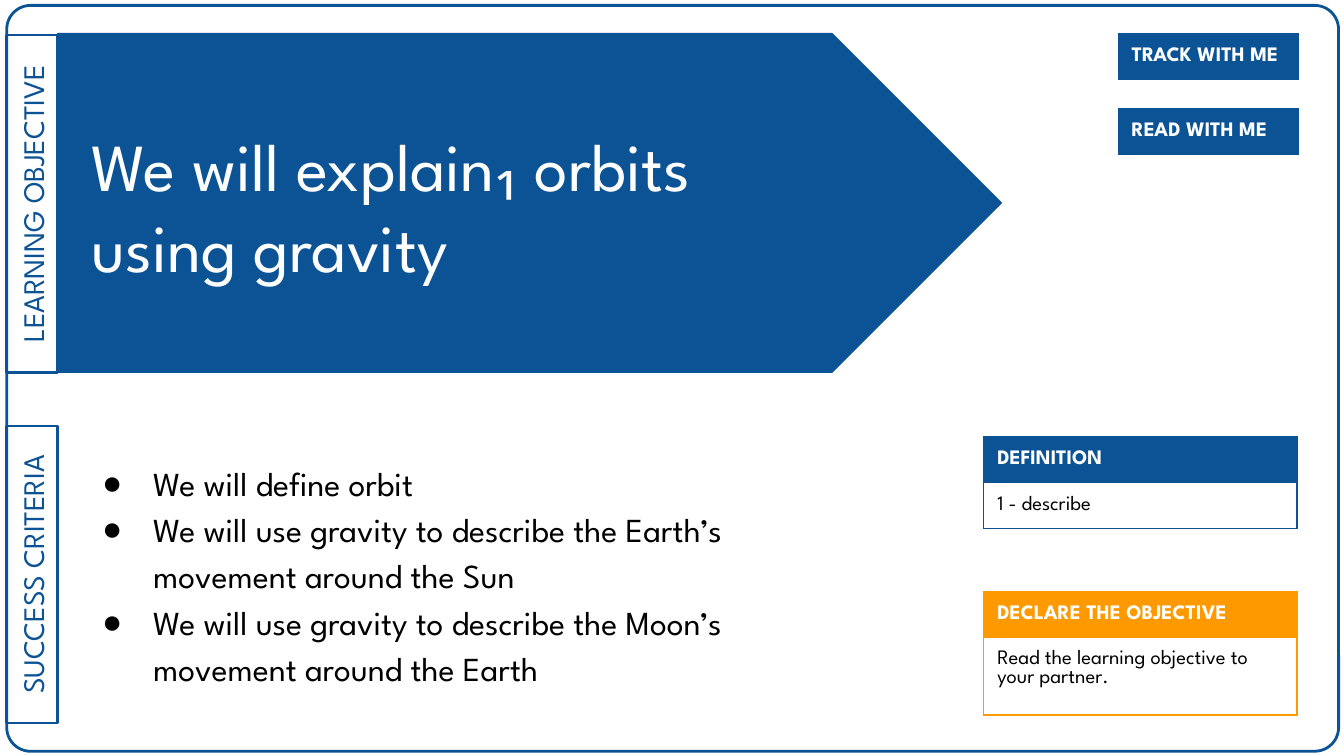
from lxml import etree
from pptx import Presentation
from pptx.dml.color import RGBColor
from pptx.enum import shapes as kinds, text as txt
from pptx.oxml.ns import qn
from pptx.util import Inches, Pt

COLORS = {"blue": "0B5394", "orange": "FF9900", "white": "FFFFFF", "black": "000000"}
FONT = "League Spartan"
MARGIN = 0.1
HEADER_HEIGHT = 0.34


def rgb(color):
    return RGBColor.from_string(COLORS[color])


def add_solid_fill(parent, color):
    fill = etree.SubElement(parent, qn("a:solidFill"))
    etree.SubElement(fill, qn("a:srgbClr"), val=COLORS[color])


def write(paragraph, words, size, color, bold=False):
    run = paragraph.add_run()
    run.text = words
    for name, value in {"name": FONT, "size": Pt(size), "bold": bold}.items():
        setattr(run.font, name, value)
    run.font.color.rgb = rgb(color)


def set_frame(frame):
    settings = {"word_wrap": True, "auto_size": txt.MSO_AUTO_SIZE.NONE,
                "vertical_anchor": txt.MSO_ANCHOR.MIDDLE}
    settings.update({f"margin_{side}": Inches(MARGIN)
                     for side in ("left", "top", "right", "bottom")})
    for name, value in settings.items():
        setattr(frame, name, value)


def place(placeholder, box):
    """Move a placeholder to its box and in front of the shapes drawn so far."""
    for name, value in zip(("left", "top", "width", "height"), box):
        setattr(placeholder, name, Inches(value))
    tree = placeholder._element.getparent()
    tree.append(placeholder._element)
    set_frame(placeholder.text_frame)


def add_outline(slide, kind, box, line_width, fill=None):
    shape = slide.shapes.add_shape(kind, *map(Inches, box))
    shape.shadow.inherit = False
    if fill:
        shape.fill.solid()
        shape.fill.fore_color.rgb = rgb(fill)
    else:
        shape.fill.background()
    shape.line.color.rgb = rgb("blue")
    shape.line.width = Pt(line_width)
    return shape


def add_side_label(slide, box, words):
    """Fill an upright box with a label that reads from bottom to top."""
    left, top, width, height = box
    shift = (height - width) / 2
    label = add_outline(slide, kinds.MSO_SHAPE.RECTANGLE,
                        (left - shift, top + shift, height, width), 1.5)
    label.rotation = 270
    set_frame(label.text_frame)
    paragraph = label.text_frame.paragraphs[0]
    paragraph.alignment = txt.PP_ALIGN.CENTER
    write(paragraph, words, 16, "blue")


def add_objective(slide, box, words):
    left, top, width, height = box
    add_outline(slide, kinds.MSO_SHAPE.PENTAGON, box, 0.75, "blue")
    title = slide.shapes.title
    place(title, (left + 0.15, top + 0.27, width - 1.48, height - 0.51))
    paragraph = title.text_frame.paragraphs[0]
    paragraph.alignment = txt.PP_ALIGN.LEFT
    write(paragraph, words, 36, "white")


def add_criteria(slide, box, criteria):
    body = slide.placeholders[1]
    place(body, box)
    frame = body.text_frame
    for index, criterion in enumerate(criteria):
        paragraph = frame.paragraphs[0] if index == 0 else frame.add_paragraph()
        paragraph.line_spacing = 1.15
        paragraph.space_before = Pt(0)
        properties = paragraph._p.get_or_add_pPr()
        properties.set("marL", str(Inches(0.5)))
        properties.set("indent", str(Inches(-0.38)))
        bullet_color = etree.SubElement(properties, qn("a:buClr"))
        etree.SubElement(bullet_color, qn("a:srgbClr"), val=COLORS["black"])
        etree.SubElement(properties, qn("a:buChar"), char="●")
        write(paragraph, criterion, 18, "black")


def set_borders(cell, color):
    properties = cell._tc.get_or_add_tcPr()
    for index, side in enumerate(("lnL", "lnR", "lnT", "lnB")):
        border = etree.Element(qn(f"a:{side}"), w=str(Pt(0.75)))
        add_solid_fill(border, color)
        properties.insert(index, border)


def add_card(slide, left, top, width, color, heading, note=None, note_height=HEADER_HEIGHT):
    """Add a coloured heading with an optional note below it."""
    rows = [(heading, HEADER_HEIGHT, "white", True)]
    if note:
        rows.append((note, note_height, "black", False))
    total = sum(row[1] for row in rows)
    table = slide.shapes.add_table(len(rows), 1, *map(Inches, (left, top, width, total))).table
    table.first_row = table.horz_banding = False
    for index, (words, height, text_color, is_heading) in enumerate(rows):
        table.rows[index].height = Inches(height)
        cell = table.cell(index, 0)
        for side in ("left", "top", "right", "bottom"):
            setattr(cell, f"margin_{side}", Inches(MARGIN))
        if is_heading:
            cell.fill.solid()
            cell.fill.fore_color.rgb = rgb(color)
        else:
            cell.fill.background()
        set_borders(cell, color)
        write(cell.text_frame.paragraphs[0], words, 11, text_color, is_heading)


def main():
    deck = Presentation()
    deck.slide_width = Inches(10)
    deck.slide_height = deck.slide_width * 9 // 16
    slide = deck.slides.add_slide(deck.slide_layouts[1])

    border = add_outline(slide, kinds.MSO_SHAPE.ROUNDED_RECTANGLE,
                         (0.05, 0.04, 9.91, 5.55), 1.5)
    border.adjustments[0] = 0.032
    add_side_label(slide, (0.05, 0.26, 0.38, 2.51), "LEARNING OBJECTIVE")
    add_objective(slide, (0.43, 0.25, 7.02, 2.52), "We will explain₁ orbits using gravity")
    add_side_label(slide, (0.05, 3.17, 0.38, 2.21), "SUCCESS CRITERIA")
    add_criteria(slide, (0.54, 3.16, 5.68, 2.2), [
        "We will define orbit",
        "We will use gravity to describe the Earth’s movement around the Sun",
        "We will use gravity to describe the Moon’s movement around the Earth",
    ])

    add_card(slide, 7.32, 4.4, 2.33, "orange", "DECLARE THE OBJECTIVE",
             "Read the learning objective to your partner.", 0.58)
    add_card(slide, 7.32, 3.25, 2.33, "blue", "DEFINITION", "1 - describe")
    for index, prompt in enumerate(("TRACK WITH ME", "READ WITH ME")):
        add_card(slide, 8.32, 0.25 + 0.56 * index, 1.34, "blue", prompt)

    deck.save("out.pptx")


if __name__ == "__main__":
    main()
